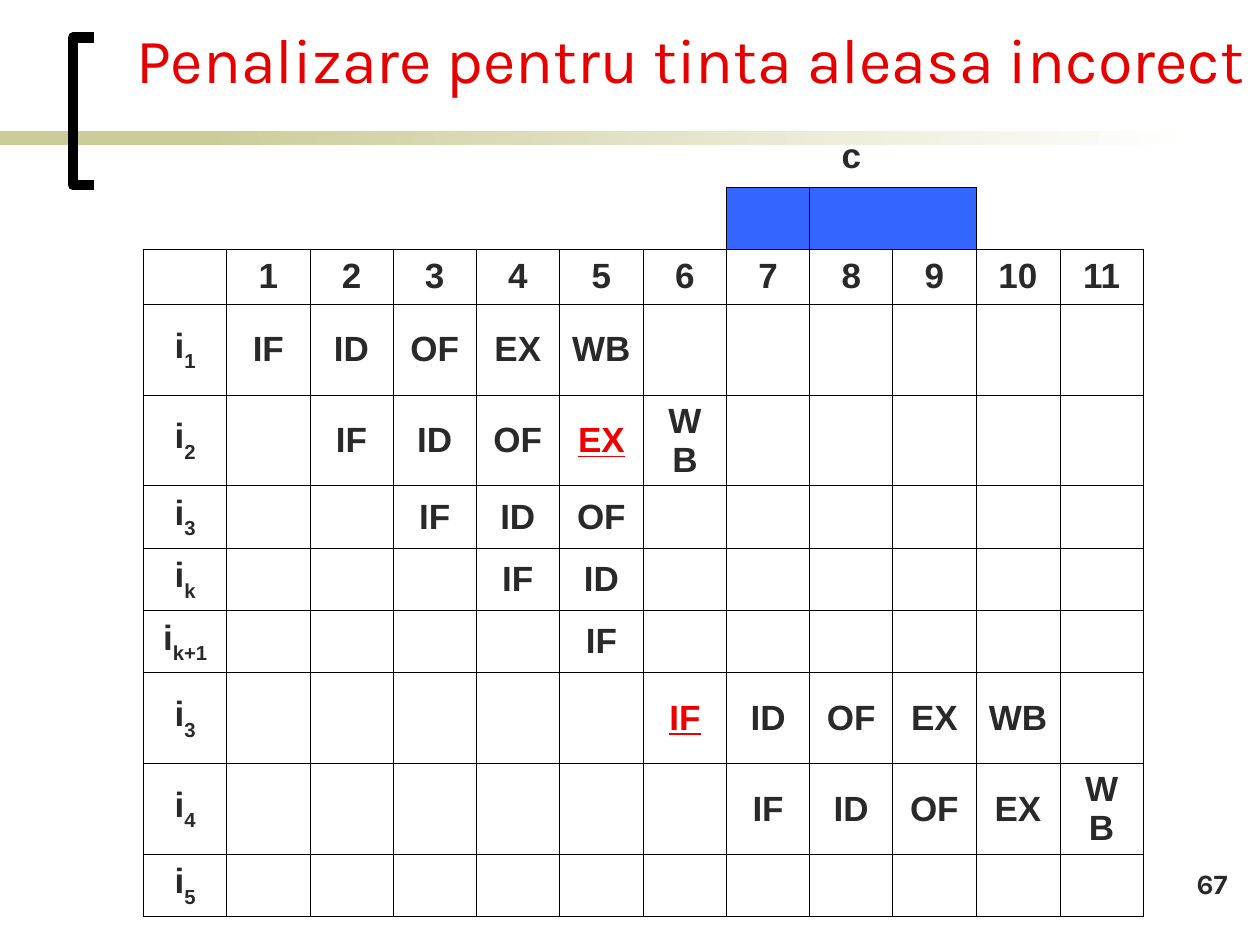
from lxml.etree import SubElement
from pptx import Presentation
from pptx.dml.color import RGBColor
from pptx.enum.shapes import MSO_SHAPE
from pptx.enum.text import MSO_ANCHOR, MSO_AUTO_SIZE, PP_ALIGN
from pptx.oxml import parse_xml
from pptx.oxml.ns import nsdecls, qn
from pptx.util import Inches, Pt

BLACK = RGBColor(0x00, 0x00, 0x00)
WHITE = RGBColor(0xFF, 0xFF, 0xFF)
INK = RGBColor(0x29, 0x29, 0x29)
TITLE_RED = RGBColor(0xE6, 0x00, 0x00)
WRONG_RED = RGBColor(0xEE, 0x00, 0x00)
OLIVE = RGBColor(0xCC, 0xCC, 0x99)
BLUE = RGBColor(0x33, 0x66, 0xFF)

NO_STYLE = "{2D5ABB26-0587-4C30-8999-92F81FD0307C}"
STAGES = ["IF", "ID", "OF", "EX", "WB"]
PIPELINE = [
    ("1", 1, 5, None),
    ("2", 2, 5, "EX"),
    ("3", 3, 3, None),
    ("k", 4, 2, None),
    ("k+1", 5, 1, None),
    ("3", 6, 5, "IF"),
    ("4", 7, 5, None),
    ("5", 8, 0, None),
]
CYCLES = 11
PENALTY = range(7, 10)
HEADER_ROW = 2
LOW, TALL = 6.6, 9.6
ROW_HEIGHTS = [6.55, 6.55, 5.87] + [
    TALL if count == len(STAGES) else LOW for _, _, count, _ in PIPELINE
]
COL_WIDTHS = [6.67 if col in (5, 10) else 6.6 for col in range(CYCLES + 1)]


class Deck:
    body_font = "Arial"
    title_font = "Karla"

    def __init__(self):
        self.prs = Presentation()
        self.prs.slide_width, self.prs.slide_height = Inches(10), Inches(7.5)
        self.slide = self.prs.slides.add_slide(self.prs.slide_layouts[5])
        self.shapes = self.slide.shapes

    def x(self, percent):
        return round(self.prs.slide_width * percent / 100)

    def y(self, percent):
        return round(self.prs.slide_height * percent / 100)

    def box(self, left, top, width, height):
        return self.x(left), self.y(top), self.x(width), self.y(height)

    def style(self, p, size, font, color=INK, bold=False, align=PP_ALIGN.LEFT):
        p.alignment = align
        p.font.size, p.font.name, p.font.bold = Pt(size), font, bold
        p.font.color.rgb = color

    def band(self, *box, fade=False):
        sp = self.shapes.add_shape(MSO_SHAPE.RECTANGLE, *self.box(*box))
        sp.shadow.inherit = False
        sp.line.fill.background()
        if fade:
            sp.fill.gradient()
            sp.fill.gradient_angle = 0
            for stop, color in zip(sp.fill.gradient_stops, (OLIVE, WHITE)):
                stop.color.rgb = color
        else:
            sp.fill.solid()
            sp.fill.fore_color.rgb = OLIVE

    def bracket(self, left, top, width, height):
        x0, y0, w, h = self.box(left, top, width, height)
        builder = self.shapes.build_freeform(x0 + w, y0 + h)
        builder.add_line_segments([(x0, y0 + h), (x0, y0), (x0 + w, y0)], close=False)
        sp = builder.convert_to_shape()
        sp.shadow.inherit = False
        sp.fill.background()
        sp.line.color.rgb = BLACK
        sp.line.width = Pt(6)

    def title(self, text, *box):
        sp = self.shapes.title
        self.shapes._spTree.append(sp._element)
        sp.left, sp.top, sp.width, sp.height = self.box(*box)
        tf = sp.text_frame
        tf.text = text
        tf.word_wrap = True
        tf.auto_size = MSO_AUTO_SIZE.NONE
        tf.vertical_anchor = MSO_ANCHOR.BOTTOM
        self.style(tf.paragraphs[0], 36, self.title_font, TITLE_RED)

    def text(self, text, *box):
        tf = self.shapes.add_textbox(*self.box(*box)).text_frame
        tf.word_wrap = True
        tf.text = text
        self.style(tf.paragraphs[0], 16, self.title_font, bold=True, align=PP_ALIGN.RIGHT)

    def table(self, left, top, col_widths, row_heights):
        frame = self.shapes.add_table(
            len(row_heights), len(col_widths),
            *self.box(left, top, sum(col_widths), sum(row_heights)))
        table = frame.table
        table.first_row = table.horz_banding = False
        table._tbl.tblPr.find(qn("a:tableStyleId")).text = NO_STYLE
        for col, width in zip(table.columns, col_widths):
            col.width = self.x(width)
        for row, height in zip(table.rows, row_heights):
            row.height = self.y(height)
        for cell in table.iter_cells():
            cell.margin_top = cell.margin_bottom = self.y(0.5)
            cell.vertical_anchor = MSO_ANCHOR.MIDDLE
            cell.fill.background()
        return table

    def borders(self, cell, sides):
        tcPr = cell._tc.get_or_add_tcPr()
        for i, side in enumerate(sides):
            ln = parse_xml(f'<a:ln{side} {nsdecls("a")} w="{Pt(0.45)}"/>')
            fill = SubElement(ln, qn("a:solidFill"))
            SubElement(fill, qn("a:srgbClr"), val=str(BLACK))
            tcPr.insert(i, ln)

    def label(self, cell, text, sub="", wrong=False):
        p = cell.text_frame.paragraphs[0]
        self.style(p, 20, self.body_font, WRONG_RED if wrong else INK, True, PP_ALIGN.CENTER)
        p.font.underline = wrong
        p.add_run().text = text
        if sub:
            r = p.add_run()
            r.text = sub
            r.font._element.set("baseline", "-30000")


def fill_pipeline(deck, table):
    first, last = PENALTY[0], PENALTY[-1]
    table.cell(0, first).merge(table.cell(0, last))
    deck.label(table.cell(0, first), "c")
    for col in PENALTY:
        cell = table.cell(1, col)
        cell.fill.solid()
        cell.fill.fore_color.rgb = BLUE
        deck.borders(cell, "L" * (col == first) + "R" * (col == last) + "TB")
    for row in range(HEADER_ROW, len(ROW_HEIGHTS)):
        for col in range(CYCLES + 1):
            deck.borders(table.cell(row, col), "LRTB")
    for cycle in range(1, CYCLES + 1):
        deck.label(table.cell(HEADER_ROW, cycle), str(cycle))
    for row, (sub, start, count, wrong) in enumerate(PIPELINE, HEADER_ROW + 1):
        deck.label(table.cell(row, 0), "i", sub)
        for col, stage in enumerate(STAGES[:count], start):
            deck.label(table.cell(row, col), stage, wrong=stage == wrong)


def main():
    deck = Deck()
    deck.band(0, 13.87, 23.3, 1.47)
    deck.band(15.8, 13.87, 79.2, 1.47, fade=True)
    deck.bracket(5.8, 4, 1.7, 15.6)
    deck.title("Penalizare pentru tinta aleasa incorect", 9.8, 0, 90.2, 10.8)
    fill_pipeline(deck, deck.table(11.4, 13.25, COL_WIDTHS, ROW_HEIGHTS))
    deck.text("67", 77.6, 91.07, 20.8, 6.67)
    deck.prs.save("out.pptx")


if __name__ == "__main__":
    main()
